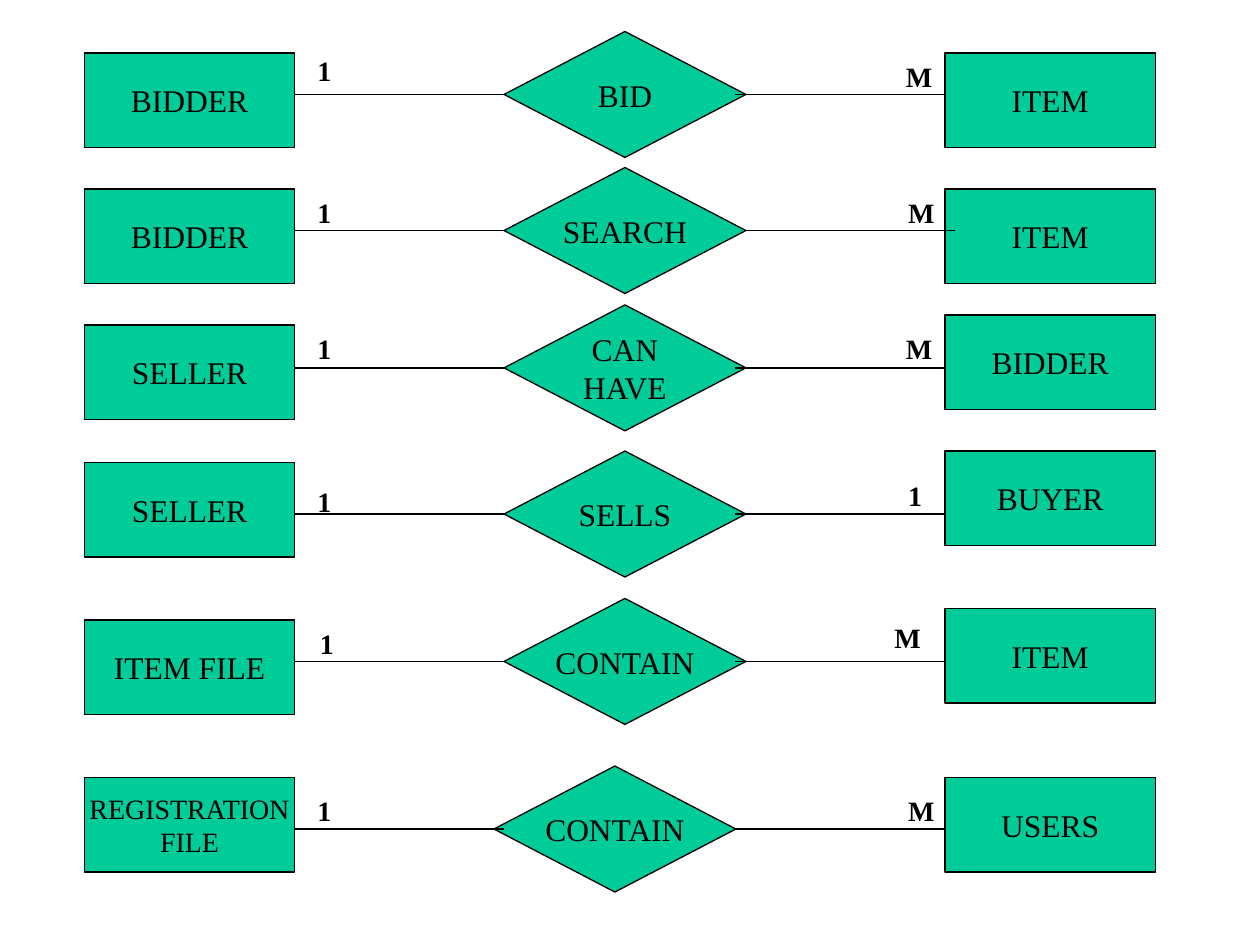
from dataclasses import dataclass
from typing import NamedTuple

from pptx import Presentation
from pptx import util as u
from pptx.dml import color
from pptx.enum import shapes, text
from pptx.oxml import ns
from lxml import etree


@dataclass(frozen=True)
class Theme:
    fill: color.RGBColor = color.RGBColor(0x00, 0xCC, 0x99)
    ink: color.RGBColor = color.RGBColor(0x00, 0x00, 0x00)
    font: str = "Times New Roman"
    name_size: float = 18
    small_size: float = 16
    line_width: float = 0.75


class Mark(NamedTuple):
    label: str
    left: float
    top: float


@dataclass(frozen=True)
class Relation:
    axis: float
    source: str
    source_top: float
    verb: str
    target: str
    target_top: float
    source_mark: Mark
    target_mark: Mark
    diamond_left: float = 4
    link_right: float = 7.5
    source_size: float = Theme.name_size


THEME = Theme()
BOX_WIDTH, BOX_HEIGHT = 1.67, 0.75
DIAMOND_WIDTH, DIAMOND_HEIGHT = 1.92, 1
SOURCE_LEFT, TARGET_LEFT = 0.67, 7.5
SOURCE_EDGE, LINK_END, LINK_START = 2.33, 4, 5.83
LEFT_SITE, RIGHT_SITE = 1, 3

RELATIONS = [
    Relation(0.75, "BIDDER", 0.42, "BID", "ITEM", 0.42,
             Mark("1", 2.42, 0.38), Mark("M", 7.09, 0.42)),
    Relation(1.83, "BIDDER", 1.5, "SEARCH", "ITEM", 1.5,
             Mark("1", 2.42, 1.5), Mark("M", 7.11, 1.5), link_right=7.58),
    Relation(2.92, "SELLER", 2.58, "CAN\nHAVE", "BIDDER", 2.5,
             Mark("1", 2.42, 2.58), Mark("M", 7.09, 2.58)),
    Relation(4.08, "SELLER", 3.67, "SELLS", "BUYER", 3.58,
             Mark("1", 2.42, 3.8), Mark("1", 7.11, 3.75)),
    Relation(5.25, "ITEM FILE", 4.92, "CONTAIN", "ITEM", 4.83,
             Mark("1", 2.44, 4.92), Mark("M", 7, 4.88)),
    Relation(6.58, "REGISTRATION\nFILE", 6.17, "CONTAIN", "USERS", 6.17,
             Mark("1", 2.42, 6.25), Mark("M", 7.11, 6.25),
             diamond_left=3.92, source_size=THEME.small_size),
]


def write(frame, label: str, size: float, align, bold: bool = False) -> None:
    frame.text = label
    frame.word_wrap = False
    for para in frame.paragraphs:
        para.alignment = align
        para.font.name = THEME.font
        para.font.size = u.Pt(size)
        para.font.bold = bold
        para.font.color.rgb = THEME.ink


def add_node(page, kind, label: str, left: float, top: float,
             width: float, height: float, size: float = THEME.name_size):
    node = page.shapes.add_shape(kind, u.Inches(left), u.Inches(top),
                                 u.Inches(width), u.Inches(height))
    node.shadow.inherit = False
    node.fill.solid()
    node.fill.fore_color.rgb = THEME.fill
    node.line.color.rgb = THEME.ink
    node.line.width = u.Pt(THEME.line_width)
    node.text_frame.vertical_anchor = text.MSO_ANCHOR.MIDDLE
    write(node.text_frame, label, size, text.PP_ALIGN.CENTER)
    return node


def add_entity(page, label: str, left: float, top: float,
               size: float = THEME.name_size) -> None:
    add_node(page, shapes.MSO_SHAPE.FLOWCHART_PROCESS, label, left, top,
             BOX_WIDTH, BOX_HEIGHT, size)


def add_link(page, start: float, end: float, axis: float):
    link = page.shapes.add_connector(
        shapes.MSO_CONNECTOR.STRAIGHT, u.Inches(start), u.Inches(axis),
        u.Inches(end), u.Inches(axis))
    link.line.color.rgb = THEME.ink
    link.line.width = u.Pt(THEME.line_width)
    etree.SubElement(link._element.spPr, ns.qn("a:effectLst"))
    return link


def add_mark(page, mark: Mark) -> None:
    width = 0.41 if mark.label == "M" else 0.31
    box = page.shapes.add_textbox(u.Inches(mark.left), u.Inches(mark.top),
                                  u.Inches(width), u.Inches(0.37))
    write(box.text_frame, mark.label, THEME.small_size,
          text.PP_ALIGN.LEFT, bold=True)
    box.text_frame.auto_size = text.MSO_AUTO_SIZE.SHAPE_TO_FIT_TEXT


def add_relation(page, relation: Relation) -> None:
    add_entity(page, relation.source, SOURCE_LEFT, relation.source_top,
               relation.source_size)
    add_entity(page, relation.target, TARGET_LEFT, relation.target_top)
    diamond = add_node(page, shapes.MSO_SHAPE.FLOWCHART_DECISION, relation.verb,
                       relation.diamond_left, relation.axis - DIAMOND_HEIGHT / 2,
                       DIAMOND_WIDTH, DIAMOND_HEIGHT)
    source_link = add_link(page, SOURCE_EDGE, LINK_END, relation.axis)
    target_link = add_link(page, LINK_START, relation.link_right, relation.axis)
    if relation.diamond_left == LINK_END:
        source_link.end_connect(diamond, LEFT_SITE)
    if relation.diamond_left < LINK_END or relation.link_right > TARGET_LEFT:
        target_link.begin_connect(diamond, RIGHT_SITE)
    add_mark(page, relation.source_mark)
    add_mark(page, relation.target_mark)


def main() -> None:
    deck = Presentation()
    deck.slide_width, deck.slide_height = u.Inches(10), u.Inches(7.5)
    page = deck.slides.add_slide(deck.slide_layouts[6])
    for relation in RELATIONS:
        add_relation(page, relation)
    deck.save("out.pptx")


if __name__ == "__main__":
    main()
